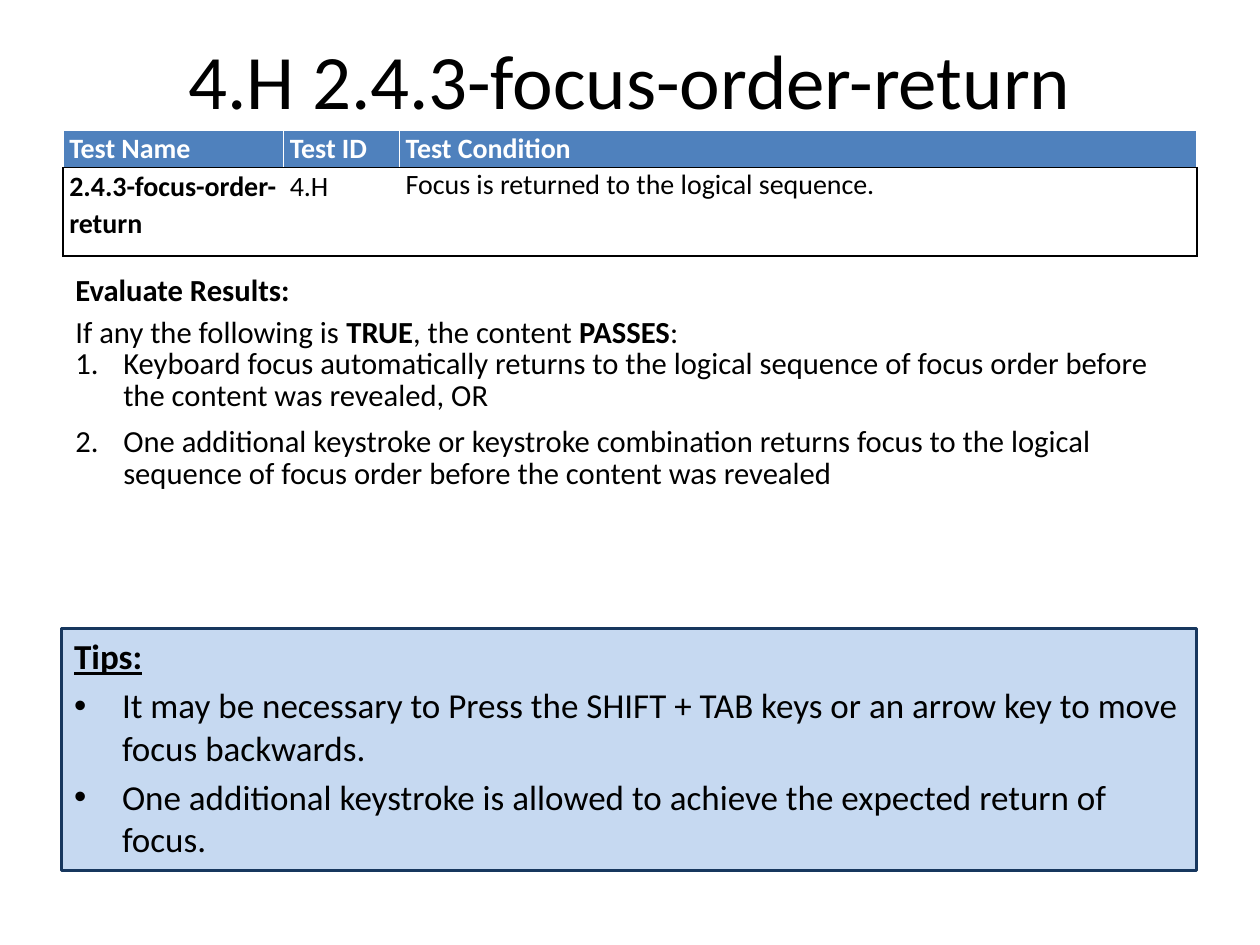
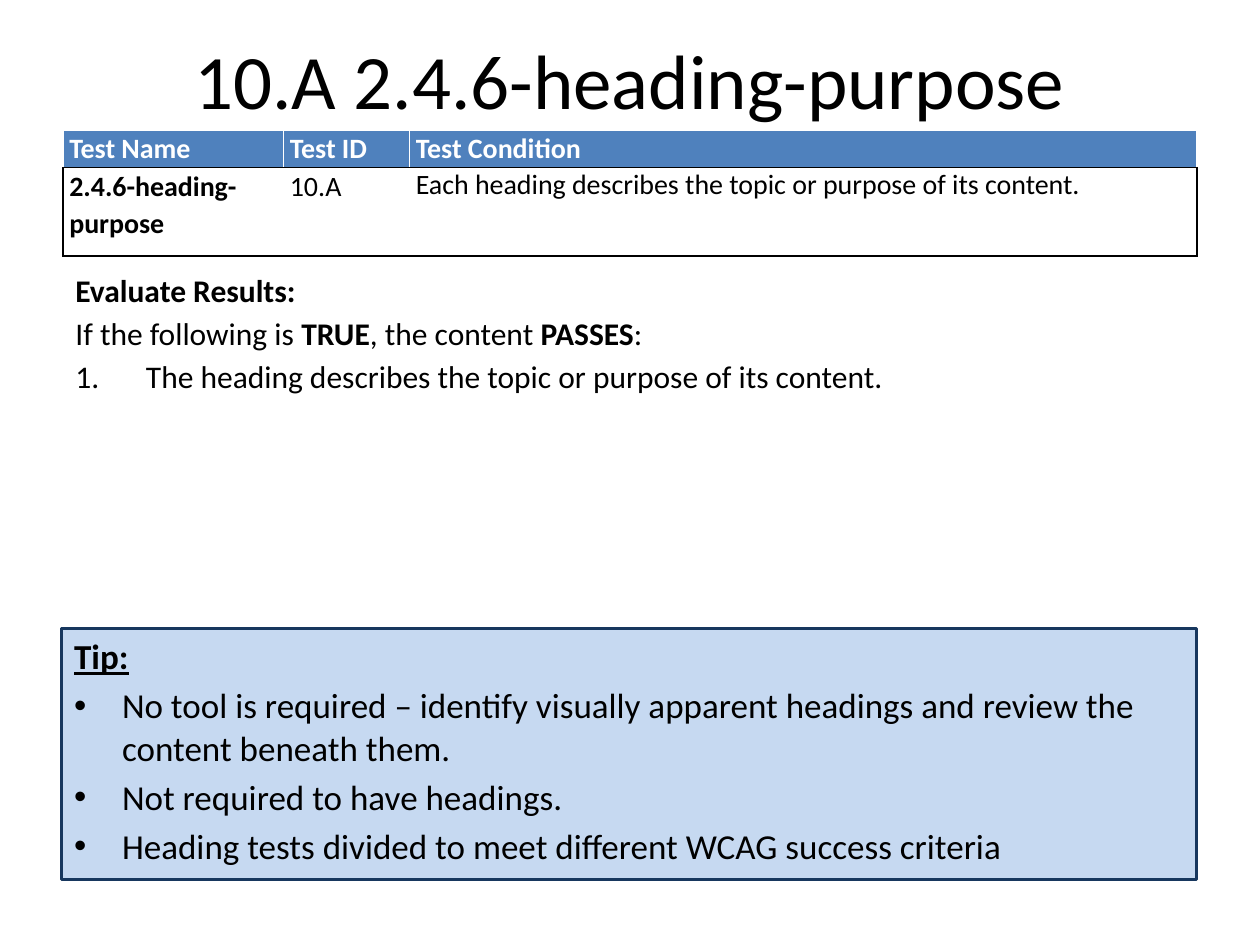
from dataclasses import dataclass

from lxml import etree
from pptx import Presentation
from pptx import util as u
from pptx.dml.color import RGBColor
from pptx.enum import shapes, text
from pptx.oxml.ns import qn

PX = u.Inches(1) // 100


@dataclass(frozen=True)
class Theme:
    font: str = "Calibri"
    bullet_font: str = "Arial"
    ink: str = "000000"
    paper: str = "FFFFFF"
    header: str = "4F81BD"
    tip_fill: str = "C6D9F1"
    tip_line: str = "17375E"
    title_size: float = 44
    table_size: float = 16
    tip_size: float = 20


@dataclass(frozen=True)
class Box:
    x: int
    y: int
    w: int
    h: int

    def emu(self) -> list[int]:
        return [n * PX for n in (self.x, self.y, self.w, self.h)]


@dataclass(frozen=True)
class Para:
    """Text in which **double stars** mark bold parts."""
    text: str
    marker: str = ""
    indent: int = 0
    before: float = 0
    after: float = 0
    spacing: float = 1.0
    underline: bool = False
    centred: bool = False


@dataclass(frozen=True)
class TestSlide:
    test_id: str
    name: str
    condition: str
    id_width: int
    results: list[Para]
    results_size: float
    results_height: int
    tip_heading: str
    tips: list[str]
    tips_height: int


THEME = Theme()
HEADERS = ("Test Name", "Test ID", "Test Condition")
NUMBER, BULLET = "arabicPeriod", "•"
TITLE = Box(50, 0, 900, 125)
TABLE = Box(50, 103, 900, 100)
NAME_WIDTH, HEADER_HEIGHT = 175, 30
CELL_INSET, CELL_SPACING = 5, 1.07
LIST_INDENT = 38
HEADING = Para("**Evaluate Results:**", before=3)


def numbered_choice(words: str) -> Para:
    return Para(words, NUMBER, LIST_INDENT, after=8, spacing=0.87)


SLIDES = [
    TestSlide(
        "4.H", "2.4.3-focus-order-return", "Focus is returned to the logical sequence.", 92,
        [HEADING,
         Para("If any the following is **TRUE**, the content **PASSES**:", before=3),
         numbered_choice("Keyboard focus automatically returns to the logical sequence of "
                         "focus order before the content was revealed, OR"),
         numbered_choice("One additional keystroke or keystroke combination returns focus to "
                         "the logical sequence of focus order before the content was revealed")],
        17.5, 190, "Tips:",
        ["It may be necessary to Press the SHIFT + TAB keys or an arrow key to move "
         "focus backwards.",
         "One additional keystroke is allowed to achieve the expected return of focus."],
        192),
    TestSlide(
        "10.A", "2.4.6-heading-purpose",
        "Each heading describes the topic or purpose of its content.", 100,
        [HEADING,
         Para("If the following is **TRUE**, the content **PASSES**:", before=3),
         Para("The heading describes the topic or purpose of its content.", NUMBER, 56,
              before=3)],
        18, 125, "Tip:",
        ["No tool is required – identify visually apparent headings and review the "
         "content beneath them.",
         "Not required to have headings.",
         "Heading tests divided to meet different WCAG success criteria"],
        199),
]


def add_marker(p, para: Para) -> None:
    """Give the paragraph a hanging bullet or an automatic number."""
    pPr = p._p.get_or_add_pPr()
    pPr.set("marL", str(para.indent * PX))
    pPr.set("indent", str(-para.indent * PX))
    etree.SubElement(pPr, qn("a:buFont"),
                     typeface=THEME.font if para.marker == NUMBER else THEME.bullet_font)
    if para.marker == NUMBER:
        etree.SubElement(pPr, qn("a:buAutoNum"), type=NUMBER)
    else:
        etree.SubElement(pPr, qn("a:buChar"), char=para.marker)


def fill_text(tf, paras: list[Para], size: float, colour: str = THEME.ink) -> None:
    tf.word_wrap = True
    for i, para in enumerate(paras):
        p = tf.add_paragraph() if i else tf.paragraphs[0]
        p.alignment = text.PP_ALIGN.CENTER if para.centred else text.PP_ALIGN.LEFT
        p.line_spacing = para.spacing
        p.space_before, p.space_after = u.Pt(para.before), u.Pt(para.after)
        if para.marker:
            add_marker(p, para)
        for j, part in enumerate(para.text.split("**")):
            if not part:
                continue
            r = p.add_run()
            r.text = part
            r.font.name, r.font.size = THEME.font, u.Pt(size)
            r.font.bold = j % 2 == 1
            r.font.underline = para.underline
            r.font.color.rgb = RGBColor.from_string(colour)


def add_text(slide, box: Box, paras: list[Para], size: float,
             anchor=text.MSO_ANCHOR.TOP) -> None:
    tf = slide.shapes.add_textbox(*box.emu()).text_frame
    tf.vertical_anchor = anchor
    fill_text(tf, paras, size)


def set_borders(cell, colours: dict[str, str]) -> None:
    tcPr = cell._tc.get_or_add_tcPr()
    for i, side in enumerate("LRTB"):
        ln = etree.Element(qn(f"a:ln{side}"), w=str(u.Pt(1)))
        fill = etree.SubElement(ln, qn("a:solidFill"))
        etree.SubElement(fill, qn("a:srgbClr"), val=colours[side])
        tcPr.insert(i, ln)


def add_test_table(slide, test: TestSlide) -> None:
    table = slide.shapes.add_table(2, 3, *TABLE.emu()).table
    table.horz_banding = False
    widths = (NAME_WIDTH, test.id_width, TABLE.w - NAME_WIDTH - test.id_width)
    for column, width in zip(table.columns, widths):
        column.width = width * PX
    for row, height in zip(table.rows, (HEADER_HEIGHT, TABLE.h - HEADER_HEIGHT)):
        row.height = height * PX

    values = (f"**{test.name}**", test.test_id, test.condition)
    rows = ([f"**{header}**" for header in HEADERS], values)
    for i, row in enumerate(rows):
        for j, words in enumerate(row):
            cell = table.cell(i, j)
            cell.margin_left = cell.margin_right = CELL_INSET * PX
            cell.margin_top = cell.margin_bottom = 0
            if i == 0:
                cell.fill.solid()
                cell.fill.fore_color.rgb = RGBColor.from_string(THEME.header)
            else:
                cell.fill.background()
            spacing = 1.0 if (i, j) == (1, 2) else CELL_SPACING
            fill_text(cell.text_frame, [Para(words, spacing=spacing)], THEME.table_size,
                      THEME.ink if i else THEME.paper)
            framed = {"L": i == 1 and j == 0, "R": i == 1 and j == 2, "T": i == 1, "B": True}
            set_borders(cell, {side: THEME.ink if on else THEME.paper
                               for side, on in framed.items()})


def add_tips(slide, test: TestSlide) -> None:
    box = Box(49, 499, 901, test.tips_height)
    sp = slide.shapes.add_shape(shapes.MSO_SHAPE.RECTANGLE, *box.emu())
    sp.shadow.inherit = False
    sp.fill.solid()
    sp.fill.fore_color.rgb = RGBColor.from_string(THEME.tip_fill)
    sp.line.color.rgb = RGBColor.from_string(THEME.tip_line)
    sp.line.width = u.Pt(1.75)
    tf = sp.text_frame
    tf.vertical_anchor = text.MSO_ANCHOR.TOP
    heading = Para(f"**{test.tip_heading}**", before=12, underline=True)
    tips = [Para(tip, BULLET, LIST_INDENT, before=4) for tip in test.tips]
    fill_text(tf, [heading, *tips], THEME.tip_size)
    tf.auto_size = text.MSO_AUTO_SIZE.SHAPE_TO_FIT_TEXT


def add_test_slide(prs, test: TestSlide) -> None:
    slide = prs.slides.add_slide(prs.slide_layouts[6])
    add_text(slide, TITLE, [Para(f"{test.test_id} {test.name}", centred=True)],
             THEME.title_size, text.MSO_ANCHOR.MIDDLE)
    add_test_table(slide, test)
    add_text(slide, Box(50, 210, 908, test.results_height), test.results, test.results_size)
    add_tips(slide, test)


def main() -> None:
    prs = Presentation()
    prs.slide_width, prs.slide_height = 1000 * PX, 750 * PX
    for test in SLIDES:
        add_test_slide(prs, test)
    prs.save("out.pptx")


if __name__ == "__main__":
    main()
